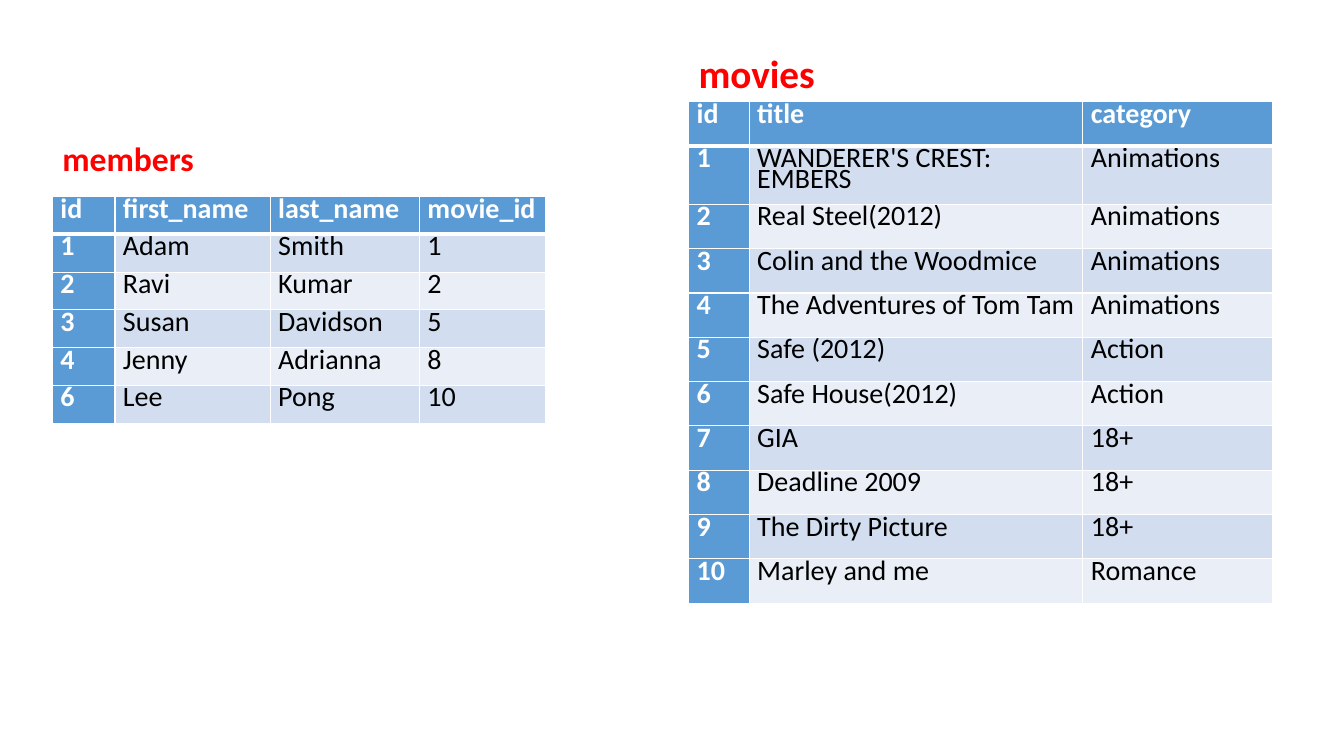
from lxml.etree import SubElement
from pptx import Presentation
from pptx.dml.color import RGBColor
from pptx.enum.text import MSO_AUTO_SIZE
from pptx.oxml.ns import qn
from pptx.util import Inches, Pt

COLORS = {"heading": "FF0000", "accent": "5B9BD5", "odd": "D2DEEF",
          "even": "EAEFF7", "white": "FFFFFF", "body": "000000"}
FONT = "Calibri"

MEMBERS = [
    ("id", "first_name", "last_name", "movie_id"),
    ("1", "Adam", "Smith", "1"),
    ("2", "Ravi", "Kumar", "2"),
    ("3", "Susan", "Davidson", "5"),
    ("4", "Jenny", "Adrianna", "8"),
    ("6", "Lee", "Pong", "10"),
]
MOVIES = [
    ("id", "title", "category"),
    ("1", "WANDERER'S CREST: EMBERS", "Animations"),
    ("2", "Real Steel(2012)", "Animations"),
    ("3", "Colin and the Woodmice", "Animations"),
    ("4", "The Adventures of Tom Tam", "Animations"),
    ("5", "Safe (2012)", "Action"),
    ("6", "Safe House(2012)", "Action"),
    ("7", "GIA", "18+"),
    ("8", "Deadline 2009", "18+"),
    ("9", "The Dirty Picture", "18+"),
    ("10", "Marley and me", "Romance"),
]
# Lengths in inches; heading_box is (top, width, height)
SECTIONS = [
    dict(heading="members", size=24, heading_box=(1.32, 1.52, 0.5), rows=MEMBERS,
         left=0.52, top=1.95, columns=(0.62, 1.54, 1.48, 1.25), row_height=0.375),
    dict(heading="movies", size=28, heading_box=(0.44, 1.37, 0.57), rows=MOVIES,
         left=6.83, top=1.01, columns=(0.6, 3.31, 1.88), row_height=0.44),
]


def set_font(paragraph, size, color, bold):
    font = paragraph.font
    font.name, font.size, font.bold = FONT, Pt(size), bold
    font.color.rgb = RGBColor.from_string(COLORS[color])


def add_borders(cell, row):
    """White rules, with a thicker one under the header row."""
    properties = cell._tc.get_or_add_tcPr()
    thick_side = {0: "lnB", 1: "lnT"}.get(row)
    for position, side in enumerate(("lnL", "lnR", "lnT", "lnB")):
        line = properties.makeelement(qn(f"a:{side}"),
                                      {"w": str(Pt(3 if side == thick_side else 1))})
        fill = SubElement(line, qn("a:solidFill"))
        SubElement(fill, qn("a:srgbClr"), val=COLORS["white"])
        properties.insert(position, line)


def fill_cell(cell, text, row, column):
    is_label = row == 0 or column == 0
    shade = "accent" if is_label else "odd" if row % 2 else "even"
    cell.fill.solid()
    cell.fill.fore_color.rgb = RGBColor.from_string(COLORS[shade])
    cell.margin_left = cell.margin_right = Inches(0.08)
    cell.margin_top = cell.margin_bottom = Inches(0.08)
    cell.text = text
    paragraph = cell.text_frame.paragraphs[0]
    paragraph.line_spacing = paragraph.space_after = Pt(15)
    set_font(paragraph, 20, "white" if is_label else "body", is_label)
    add_borders(cell, row)


def add_section(slide, section):
    rows, columns, left = section["rows"], section["columns"], section["left"]
    table = slide.shapes.add_table(
        len(rows), len(columns), Inches(left), Inches(section["top"]),
        Inches(sum(columns)), Inches(section["row_height"] * len(rows))).table
    table.first_col = True
    for column, width in enumerate(columns):
        table.columns[column].width = Inches(width)
    for row, values in enumerate(rows):
        for column, text in enumerate(values):
            fill_cell(table.cell(row, column), text, row, column)

    top, width, height = section["heading_box"]
    heading = slide.shapes.add_textbox(Inches(left), Inches(top),
                                       Inches(width), Inches(height)).text_frame
    heading.word_wrap = False
    heading.auto_size = MSO_AUTO_SIZE.SHAPE_TO_FIT_TEXT
    heading.text = section["heading"]
    set_font(heading.paragraphs[0], section["size"], "heading", True)


def main():
    deck = Presentation()
    deck.slide_width, deck.slide_height = Inches(13.33), Inches(7.5)
    slide = deck.slides.add_slide(deck.slide_layouts[6])
    for section in SECTIONS:
        add_section(slide, section)
    deck.save("out.pptx")


if __name__ == "__main__":
    main()
